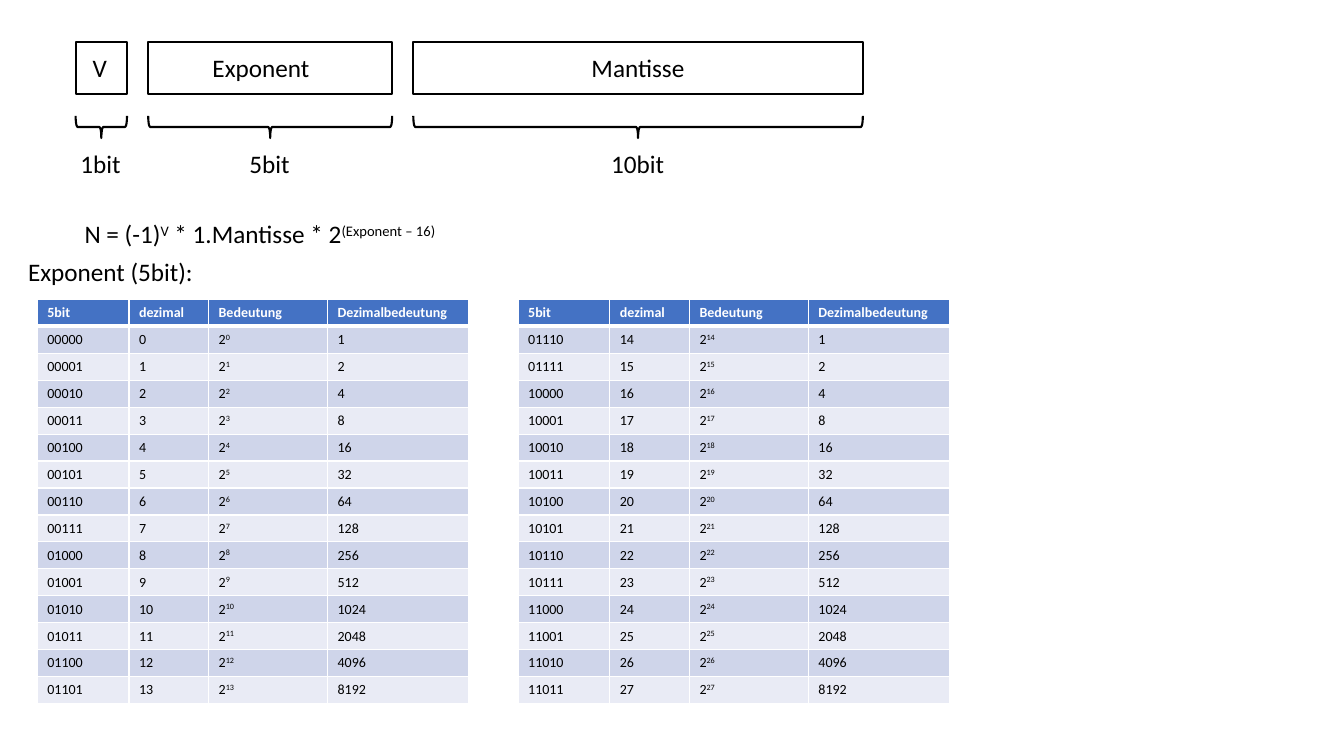
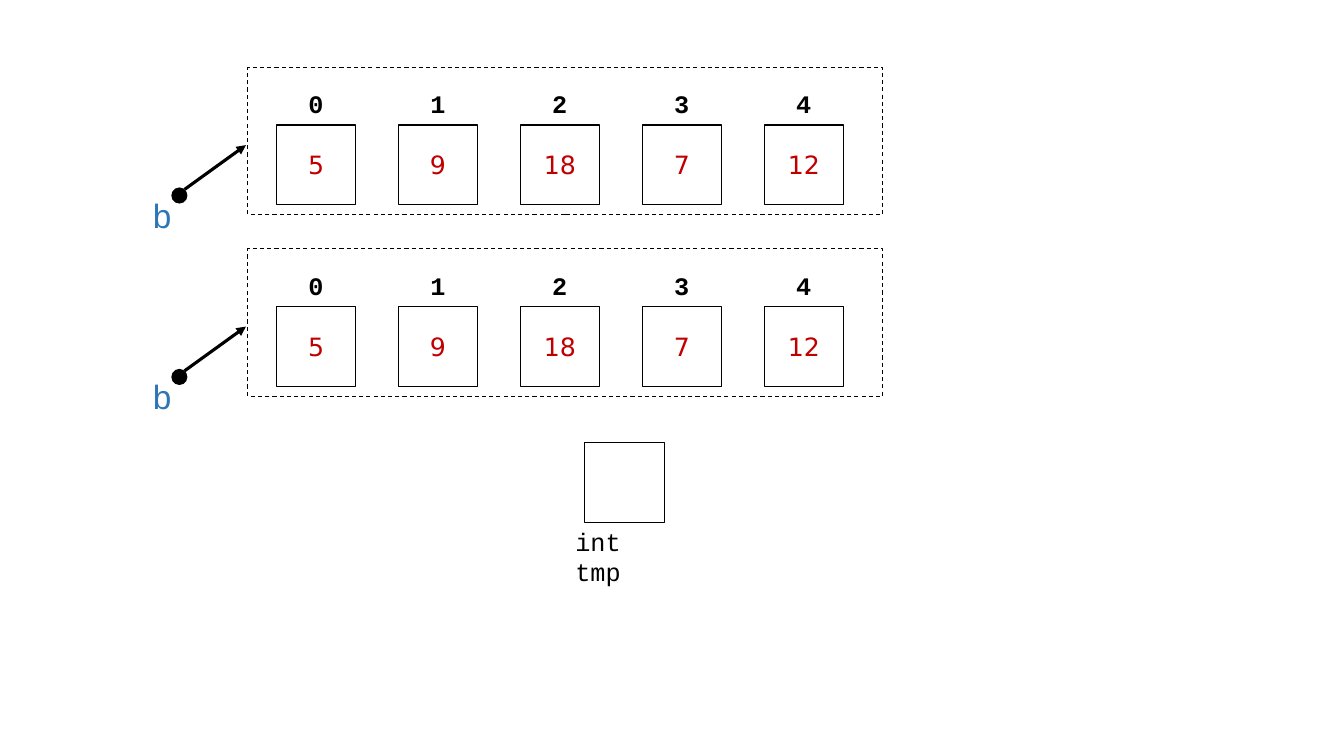
from lxml import etree
from pptx import Presentation
from pptx import util as u
from pptx.dml.color import RGBColor
from pptx.enum import dml, shapes, text
from pptx.oxml.ns import qn

PX = 9144  # one px is 1/100 inch
HEX = dict(ink="000000", paper="FFFFFF", head="4472C4", odd="CFD5EA",
           even="E9EBF5", value="C00000", name="2E75B6")

# Content of the number format slide; ^ switches superscript on and off
FIELDS = [  # name, left, width, name left, name width, bits, bits width
    ("V", 75, 51, 82, 35, "1bit", 61),
    ("Exponent", 147, 242, 201, 117, "5bit", 61),
    ("Mantisse", 410, 446, 577, 113, "10bit", 73),
]
NOTES = [
    ("N = (-1)^V^ * 1.Mantisse * 2^(Exponent – 16)", 74, 212, 388),
    ("Exponent (5bit):", 18, 249, 186),
]
HEADS = ["5bit", "dezimal", "Bedeutung", "Dezimalbedeutung"]
COLS = [91, 79, 118, 140]
ROWS = 14
TABLES = [(37, 0), (514, ROWS)]  # left, first exponent

# Content of the array slide
VALUES = [5, 9, 18, 7, 12]
TOPS = [67, 247]
BOX, STEP = 79, 121

BODY = dict(name="Calibri", size=u.Pt(18))
CODE = dict(name="Courier New", size=u.Pt(18))
INDEX = dict(CODE, bold=True)
POINTER = dict(CODE, size=u.Pt(24))
DIGIT = dict(name="DejaVu Sans", size=u.Pt(18))
SMALL = dict(name="Calibri", size=u.Pt(10))


def px(*nums):
    return [u.Emu(round(n * PX)) for n in nums]


def rgb(key):
    return RGBColor.from_string(HEX[key])


def write(frame, words, style, color="ink"):
    para = frame.paragraphs[0]
    for i, part in enumerate(str(words).split("^")):
        if not part:
            continue
        run = para.add_run()
        run.text = part
        for key, val in style.items():
            setattr(run.font, key, val)
        run.font.color.rgb = rgb(color)
        if i % 2:
            run.font._element.set("baseline", "30000")
    return para


def label(slide, words, left, top, wide, high=40, style=BODY, color="ink",
          wrap=False):
    frame = slide.shapes.add_textbox(*px(left, top, wide, high)).text_frame
    frame.word_wrap = wrap
    frame.auto_size = text.MSO_AUTO_SIZE.SHAPE_TO_FIT_TEXT
    write(frame, words, style, color)


def outline(slide, kind, left, top, wide, high, weight):
    shape = slide.shapes.add_shape(kind, *px(left, top, wide, high))
    shape.shadow.inherit = False
    shape.fill.background()
    shape.line.color.rgb = rgb("ink")
    shape.line.width = u.Pt(weight)
    return shape


def square(slide, left, top):
    return outline(slide, shapes.MSO_SHAPE.RECTANGLE, left, top, BOX, BOX, 0.75)


def border(cell, side, weight):
    props = cell._tc.get_or_add_tcPr()
    line = etree.SubElement(props, qn(f"a:ln{side}"), w=str(u.Pt(weight)))
    fill = etree.SubElement(line, qn("a:solidFill"))
    etree.SubElement(fill, qn("a:srgbClr"), val=HEX["paper"])


def grid(slide, left, first):
    rows = [HEADS] + [[f"{n:05b}", n, f"2^{n}", 2 ** i]
                      for i, n in enumerate(range(first, first + ROWS))]
    table = slide.shapes.add_table(
        len(rows), len(COLS), *px(left, 297, sum(COLS), 400)).table
    for col, wide in zip(table.columns, px(*COLS)):
        col.width = wide
    for r, row in enumerate(rows):
        head = r == 0
        back = "head" if head else "odd" if r % 2 else "even"
        for c, words in enumerate(row):
            cell = table.cell(r, c)
            for side in "LRTB":
                thick = (head and side == "B") or (r == 1 and side == "T")
                border(cell, side, 3 if thick else 1)
            cell.fill.solid()
            cell.fill.fore_color.rgb = rgb(back)
            write(cell.text_frame, words, dict(SMALL, bold=head),
                  "paper" if head else "ink")


def arrow(slide, *ends):
    line = slide.shapes.add_connector(shapes.MSO_CONNECTOR.STRAIGHT, *px(*ends))
    line.line.color.rgb = rgb("ink")
    line.line.width = u.Pt(2.25)
    etree.SubElement(line.line._get_or_add_ln(), qn("a:tailEnd"), type="triangle")
    etree.SubElement(line._element.spPr, qn("a:effectLst"))


def floats(slide):
    # Bit fields with braces
    for name, left, wide, at, span, bits, room in FIELDS:
        mid = left + wide / 2
        outline(slide, shapes.MSO_SHAPE.RECTANGLE, left, 42, wide, 51, 1.5)
        brace = outline(slide, shapes.MSO_SHAPE.RIGHT_BRACE,
                        mid - 11, 126 - wide / 2, 22, wide, 1.5)
        brace.rotation = 90
        label(slide, bits, mid - room / 2, 142, room)
        label(slide, name, at, 47, span)
    # Formula, heading and exponent tables
    for note in NOTES:
        label(slide, *note)
    for left, first in TABLES:
        grid(slide, left, first)


def array(slide, top):
    # Numbered cells
    for i, value in enumerate(VALUES):
        left = 274 + i * STEP
        frame = square(slide, left, top + 57).text_frame
        for side in ("left", "top", "right", "bottom"):
            setattr(frame, f"margin_{side}", 0)
        frame.vertical_anchor = text.MSO_ANCHOR.MIDDLE
        para = write(frame, value, DIGIT, "value")
        para.alignment = text.PP_ALIGN.CENTER
        label(slide, i, left + 22, top + 16, 35, style=INDEX)
    # Dashed frame
    frame = outline(slide, shapes.MSO_SHAPE.RECTANGLE, 246, top, 630, 146, 0.75)
    frame.line.dash_style = dml.MSO_LINE.DASH
    # Pointer
    dot = outline(slide, shapes.MSO_SHAPE.OVAL, 170, top + 119, 16, 16, 0.75)
    dot.fill.solid()
    dot.fill.fore_color.rgb = rgb("ink")
    dot.line.fill.background()
    arrow(slide, 183, top + 121, 244, top + 77)
    label(slide, "b", 141, top + 121, 39, 50, POINTER, "name")


def arrays(slide):
    for top in TOPS:
        array(slide, top)
    # Helper variable
    square(slide, 580, 439)
    label(slide, "int tmp", 561, 517, 117, style=CODE, wrap=True)


def main():
    deck = Presentation()
    deck.slide_width, deck.slide_height = px(1333.33, 750)
    for draw in (floats, arrays):
        draw(deck.slides.add_slide(deck.slide_layouts[6]))
    deck.save("out.pptx")


if __name__ == "__main__":
    main()
